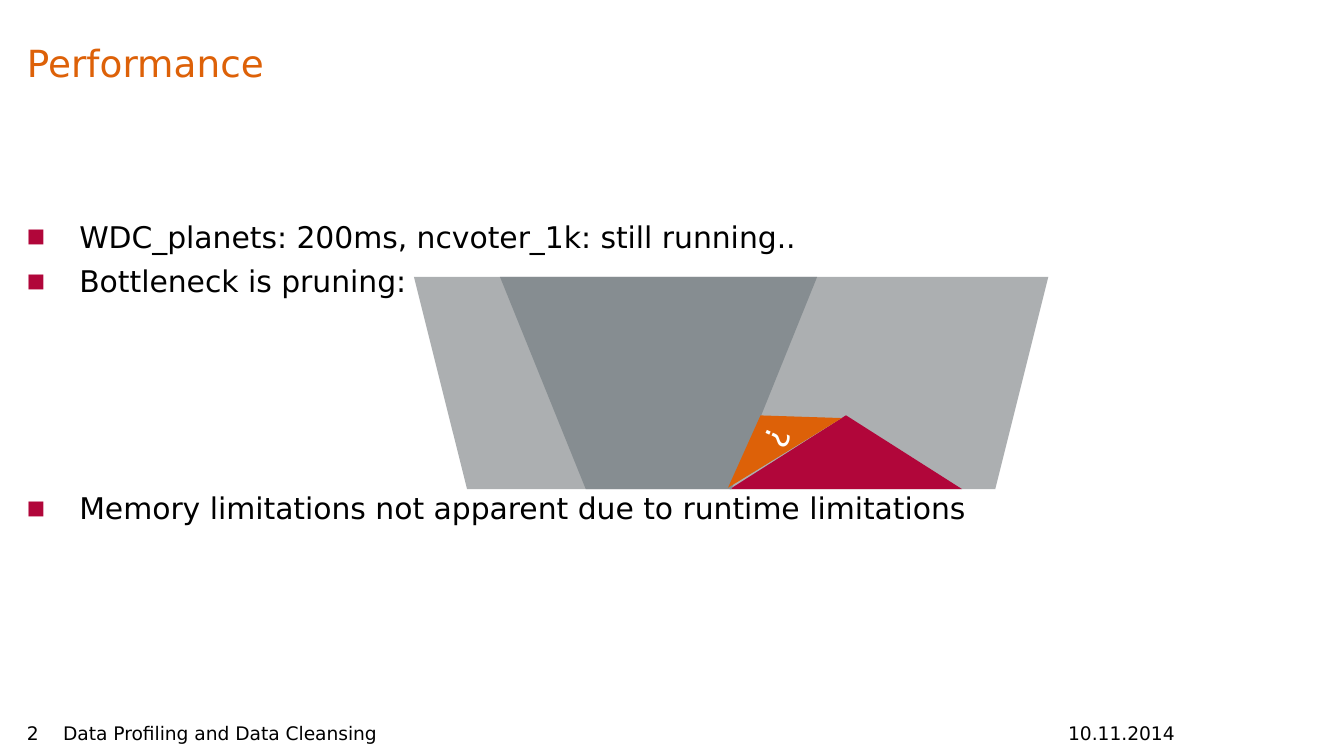
"""Build the performance slide with its pruning diagram."""
from dataclasses import dataclass

from lxml.etree import SubElement
from pptx import Presentation
from pptx.dml.color import RGBColor
from pptx.enum.shapes import MSO_SHAPE
from pptx.enum.text import MSO_ANCHOR, MSO_AUTO_SIZE, PP_ALIGN
from pptx.oxml.ns import qn
from pptx.util import Inches, Pt

FONT = "DejaVu Sans"
COLORS = {
    "orange": "DD6108",
    "red": "B1063A",
    "slate": "5A6065",
    "gray": "868D91",
    "black": "000000",
    "white": "FFFFFF",
}


@dataclass
class Box:
    left: float
    top: float
    width: float
    height: float

    def lengths(self) -> tuple:
        return tuple(map(Inches, (self.left, self.top, self.width, self.height)))


@dataclass
class Label:
    text: str
    box: Box
    alignment: PP_ALIGN = PP_ALIGN.LEFT


@dataclass
class Region:
    kind: MSO_SHAPE
    box: Box
    color: str
    rotation: float = 0
    adjustment: float | None = None
    opacity: int = 100


@dataclass
class Bullet:
    text: str
    space_before: float = 0


TITLE_BOX = Box(0.2, 0.25, 8.55, 1.18)
BODY_BOX = Box(0.2, 1.59, 8.55, 3.62)
BULLETS = [
    Bullet("WDC_planets: 200ms, ncvoter_1k: still running.."),
    Bullet("Bottleneck is pruning:"),
    Bullet("Memory limitations not apparent due to runtime limitations", 97.5),
]
FOOTER = [
    Label("10.11.2014", Box(7.91, 5.37, 0.83, 0.2), PP_ALIGN.RIGHT),
    Label("Data Profiling and Data Cleansing", Box(0.47, 5.37, 7.4, 0.2)),
    Label("2", Box(0.2, 5.37, 0.24, 0.2)),
]
REGIONS = [
    Region(MSO_SHAPE.TRAPEZOID, Box(3.08, 2.06, 4.72, 1.58), "slate", 180, opacity=50),
    Region(MSO_SHAPE.ISOSCELES_TRIANGLE, Box(5.43, 3.09, 1.73, 0.55), "red"),
    Region(MSO_SHAPE.TRAPEZOID, Box(3.72, 2.06, 2.36, 1.58), "gray", 180, 0.404),
]
UNKNOWN_CORNERS = [(5.66, 3.65), (5.43, 3.09), (6.25, 3.65)]
UNKNOWN_ROTATION = 114.2


def rgb(name: str) -> RGBColor:
    return RGBColor.from_string(COLORS[name])


def style_paragraph(paragraph, size: int, color: str, alignment=PP_ALIGN.LEFT) -> None:
    paragraph.alignment = alignment
    paragraph.font.name = FONT
    paragraph.font.size = Pt(size)
    paragraph.font.color.rgb = rgb(color)


def set_margins(frame, left=0.0, top=0.0, right=0.0, bottom=0.0) -> None:
    frame.margin_left, frame.margin_top = Inches(left), Inches(top)
    frame.margin_right, frame.margin_bottom = Inches(right), Inches(bottom)


def place_placeholder(placeholder, box: Box):
    placeholder.left, placeholder.top, placeholder.width, placeholder.height = box.lengths()
    frame = placeholder.text_frame
    set_margins(frame, 0, 0.05, 0.1, 0.05)
    frame.vertical_anchor = MSO_ANCHOR.TOP
    frame.auto_size = MSO_AUTO_SIZE.NONE
    return frame


def add_bullet(paragraph, bullet: Bullet) -> None:
    paragraph.text = bullet.text
    paragraph.line_spacing = Pt(18)
    paragraph.space_before = Pt(bullet.space_before)
    paragraph.space_after = Pt(6)
    properties = paragraph._p.get_or_add_pPr()
    properties.set("marL", str(Inches(0.39)))
    properties.set("indent", str(-Inches(0.39)))
    color = SubElement(properties, qn("a:buClr"))
    SubElement(color, qn("a:srgbClr"), val=COLORS["red"])
    SubElement(properties, qn("a:buSzPct"), val="65000")
    SubElement(properties, qn("a:buFont"), typeface=FONT)
    SubElement(properties, qn("a:buChar"), char="■")
    style_paragraph(paragraph, 16, "black")


def add_label(shapes, label: Label) -> None:
    frame = shapes.add_textbox(*label.box.lengths()).text_frame
    frame.word_wrap = True
    set_margins(frame)
    frame.text = label.text
    style_paragraph(frame.paragraphs[0], 10, "black", label.alignment)


def paint(shape, color: str) -> None:
    shape.shadow.inherit = False
    shape.fill.solid()
    shape.fill.fore_color.rgb = rgb(color)
    shape.line.fill.background()


def add_region(shapes, region: Region) -> None:
    shape = shapes.add_shape(region.kind, *region.box.lengths())
    shape.rotation = region.rotation
    if region.adjustment is not None:
        shape.adjustments[0] = region.adjustment
    paint(shape, region.color)
    if region.opacity < 100:
        color = shape._element.spPr.find(qn("a:solidFill")).find(qn("a:srgbClr"))
        SubElement(color, qn("a:alpha"), val=str(region.opacity * 1000))


def add_unknown_region(shapes) -> None:
    start, *others = [(Inches(x), Inches(y)) for x, y in UNKNOWN_CORNERS]
    builder = shapes.build_freeform(*start)
    builder.add_line_segments(others, close=True)
    shape = builder.convert_to_shape()
    shape.rotation = UNKNOWN_ROTATION
    paint(shape, "orange")
    frame = shape.text_frame
    set_margins(frame, right=0.16, bottom=0.04)
    frame.vertical_anchor = MSO_ANCHOR.BOTTOM
    frame.text = "?"
    style_paragraph(frame.paragraphs[0], 18, "white", PP_ALIGN.CENTER)


def main() -> None:
    presentation = Presentation()
    presentation.slide_width = Inches(10)
    presentation.slide_height = presentation.slide_width * 9 // 16
    slide = presentation.slides.add_slide(presentation.slide_layouts[1])

    title = place_placeholder(slide.shapes.title, TITLE_BOX)
    title.text = "Performance"
    style_paragraph(title.paragraphs[0], 20, "orange")

    body = place_placeholder(slide.placeholders[1], BODY_BOX)
    for index, bullet in enumerate(BULLETS):
        add_bullet(body.add_paragraph() if index else body.paragraphs[0], bullet)

    for label in FOOTER:
        add_label(slide.shapes, label)

    diagram = slide.shapes.add_group_shape().shapes
    for region in REGIONS:
        add_region(diagram, region)
    add_unknown_region(diagram)
    presentation.save("out.pptx")


if __name__ == "__main__":
    main()
